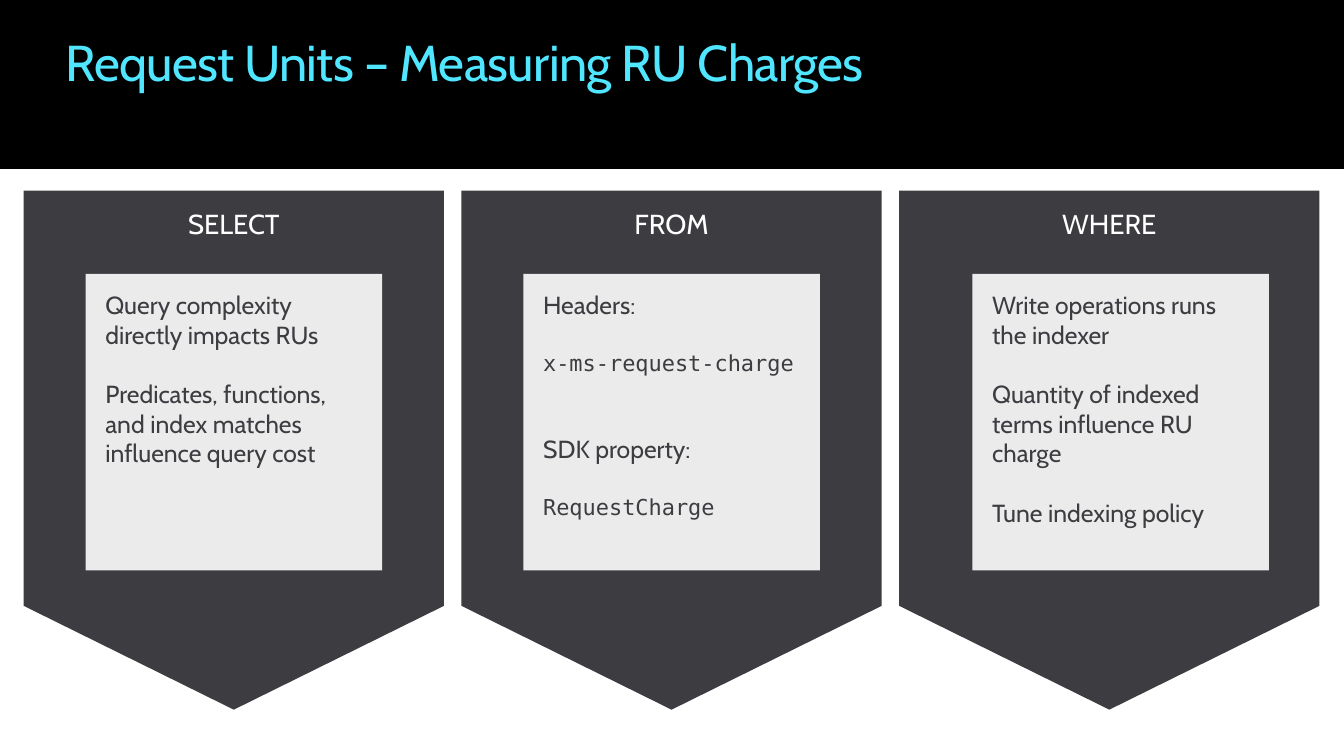
from pptx import Presentation
from pptx.dml.color import RGBColor
from pptx.enum.shapes import MSO_SHAPE
from pptx.enum.text import MSO_ANCHOR, PP_ALIGN
from pptx.util import Cm, Pt

RECT = MSO_SHAPE.RECTANGLE
BADGE = MSO_SHAPE.FLOWCHART_OFFPAGE_CONNECTOR
TOP = MSO_ANCHOR.TOP
LEFT, CENTER = PP_ALIGN.LEFT, PP_ALIGN.CENTER
SANS, MONO = "Cabin", "DejaVu Sans Mono"
DARK, PALE, WHITE = "3C3C41", "EBEBEB", "FFFFFF"


def color(code):
    return RGBColor.from_string(code)


def add_box(kind, x, y, w, h, fill, ink, align, lines):
    box = slide.shapes.add_shape(kind, Cm(x), Cm(y), Cm(w), Cm(h))
    box.shadow.inherit = False
    box.fill.solid()
    box.fill.fore_color.rgb = color(fill)
    box.line.fill.background()
    frame = box.text_frame
    frame.word_wrap = True
    frame.vertical_anchor = TOP
    frame.margin_left = frame.margin_right = Cm(0.51)
    frame.margin_top = frame.margin_bottom = Cm(0.41)
    frame.text = "\n".join(line[0] for line in lines)
    for para, (text, face, size, gap) in zip(frame.paragraphs, lines):
        para.alignment = align
        para.space_before = Pt(gap)
        for run in para.runs:
            run.font.name = face
            run.font.size = Pt(size)
            run.font.color.rgb = color(ink)


deck = Presentation()
deck.slide_width, deck.slide_height = Cm(34.54), Cm(19.43)
slide = deck.slides.add_slide(deck.slide_layouts[6])

band = slide.shapes.add_shape(RECT, 0, 0, deck.slide_width, Cm(4.34))
band.shadow.inherit = False
band.fill.solid()
band.fill.fore_color.rgb = color("000000")
band.line.fill.background()

title = slide.shapes.add_textbox(Cm(1.68), Cm(0.79), Cm(30.99), Cm(1.6))
frame = title.text_frame
frame.word_wrap = True
frame.margin_left = frame.margin_right = 0
frame.margin_top = frame.margin_bottom = 0
frame.text = "Request Units – Measuring RU Charges"
run = frame.paragraphs[0].runs[0]
run.font.name = SANS
run.font.size = Pt(36.7)
run.font.color.rgb = color("50E6FF")
run._r.get_or_add_rPr().set("spc", "-50")

cards = [
    ("SELECT", 1.59, [
        ("Query complexity directly impacts RUs", SANS, 18, 0),
        ("Predicates, functions, and index matches influence query cost",
         SANS, 18, 21.6),
    ]),
    ("FROM", 1.59, [
        ("Headers:", SANS, 18, 0),
        ("x-ms-request-charge", MONO, 16, 21.6),
        ("SDK property:", SANS, 18, 42.5),
        ("RequestCharge", MONO, 16, 21.6),
    ]),
    ("WHERE", 1.88, [
        ("Write operations runs the indexer", SANS, 18, 0),
        ("Quantity of indexed terms influence RU charge", SANS, 18, 21.6),
        ("Tune indexing policy", SANS, 18, 21.6),
    ]),
]
for col, (head, inset, lines) in enumerate(cards):
    x = 0.61 + 11.25 * col
    add_box(BADGE, x, 4.9, 10.8, 13.34, DARK, WHITE, CENTER,
            [(head, SANS, 20, 0)])
    add_box(RECT, x + inset, 7.04, 7.62, 7.62, PALE, DARK, LEFT, lines)

deck.save("out.pptx")
